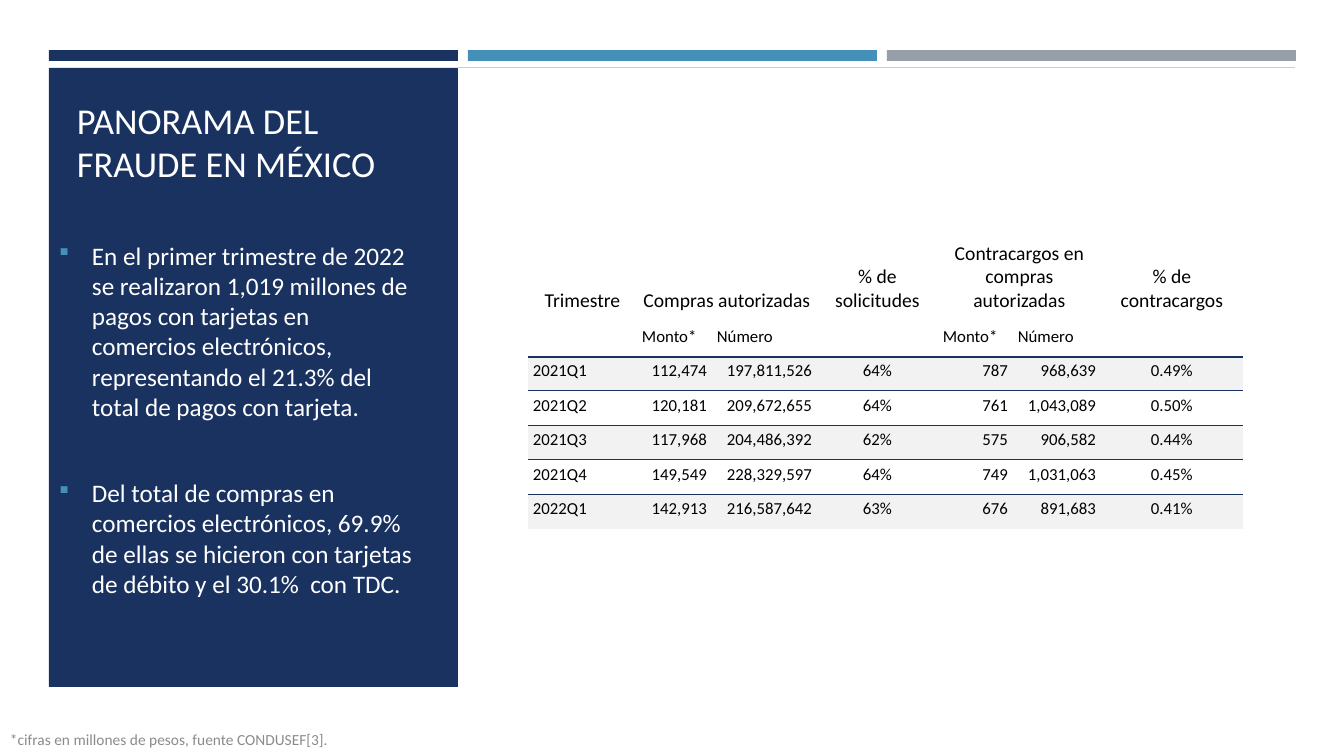
"""Build the slide on the state of card fraud in Mexico."""
import pptx
import pptx.dml.color
import pptx.enum.shapes
import pptx.enum.text
import pptx.oxml
import pptx.oxml.ns
import pptx.util
import lxml.etree

RGBColor = pptx.dml.color.RGBColor
NAVY = RGBColor(0x1A, 0x32, 0x60)
BLUE = RGBColor(0x45, 0x90, 0xB8)
GREY = RGBColor(0x96, 0x9F, 0xA7)
HAIRLINE = RGBColor(0xC8, 0xCC, 0xD4)
STRIPE = RGBColor(0xF2, 0xF2, 0xF2)
NOTE_GREY = RGBColor(0x8B, 0x8B, 0x8B)
WHITE = RGBColor(0xFF, 0xFF, 0xFF)
BLACK = RGBColor(0, 0, 0)
LEFT, CENTER, RIGHT = (
    pptx.enum.text.PP_ALIGN.LEFT,
    pptx.enum.text.PP_ALIGN.CENTER,
    pptx.enum.text.PP_ALIGN.RIGHT,
)
BOTTOM = pptx.enum.text.MSO_ANCHOR.BOTTOM
PIXEL = 914400 / 100.8
NO_STYLE = "{2D5ABB26-0587-4C30-8999-92F81FD0307C}"
qn = pptx.oxml.ns.qn


def px(*lengths):
    return [pptx.util.Emu(round(length * PIXEL)) for length in lengths]


def write(para, text, size, color):
    para.text = text
    para.font.name = "Calibri"
    para.font.size = pptx.util.Pt(size)
    para.font.color.rgb = color


deck = pptx.Presentation()
deck.slide_width, deck.slide_height = px(1344, 756)
page = deck.slides.add_slide(deck.slide_layouts[6])
shapes = page.shapes

rule = shapes.add_connector(
    pptx.enum.shapes.MSO_CONNECTOR.STRAIGHT, *px(458, 67, 1295, 67)
)
rule.line.color.rgb = HAIRLINE
rule.line.width = pptx.util.Pt(0.5)
lxml.etree.SubElement(rule.line._get_or_add_ln().getparent(), qn("a:effectLst"))

blocks = [(49 + 419 * i, 50, 409, 11, color) for i, color in enumerate((NAVY, BLUE, GREY))]
blocks.append((49, 68, 409, 619, NAVY))
for left, top, width, height, color in blocks:
    block = shapes.add_shape(
        pptx.enum.shapes.MSO_SHAPE.RECTANGLE, *px(left, top, width, height)
    )
    block.shadow.inherit = False
    block.fill.solid()
    block.fill.fore_color.rgb = color
    block.line.fill.background()

title = shapes.add_textbox(*px(67, 78, 376, 112)).text_frame
title.word_wrap = True
title.vertical_anchor = BOTTOM
write(title.paragraphs[0], "PANORAMA DEL FRAUDE EN MÉXICO", 26, WHITE)

findings = [
    "En el primer trimestre de 2022 se realizaron 1,019 millones de pagos con "
    "tarjetas en comercios electrónicos, representando el 21.3% del total de "
    "pagos con tarjeta.",
    "Del total de compras en comercios electrónicos, 69.9% de ellas se hicieron "
    "con tarjetas de débito y el 30.1%  con TDC.",
]
body = shapes.add_textbox(*px(49, 240, 376, 370)).text_frame
body.word_wrap = True
body.margin_top = 0
for i, finding in enumerate(findings):
    para = body.add_paragraph() if i else body.paragraphs[0]
    write(para, finding, 18, WHITE)
    para.space_before = pptx.util.Pt(40 * i)
    properties = para._p.get_or_add_pPr()
    indent = px(33)[0]
    properties.set("marL", str(indent))
    properties.set("indent", str(-indent))
    bullet = pptx.oxml.parse_xml(
        f'<a:bullet {pptx.oxml.ns.nsdecls("a")}>'
        f'<a:buClr><a:srgbClr val="{BLUE}"/></a:buClr><a:buSzPct val="92000"/>'
        '<a:buFont typeface="Wingdings" charset="2"/><a:buChar char="§"/></a:bullet>'
    )
    defaults = properties.find(qn("a:defRPr"))
    for part in list(bullet):
        defaults.addprevious(part)

note = shapes.add_textbox(*px(0, 725, 546, 29)).text_frame
note.word_wrap = True
write(note.paragraphs[0], "*cifras en millones de pesos, fuente CONDUSEF[3].", 11, NOTE_GREY)

rows = [
    ("Trimestre", "Compras autorizadas", "", "% de solicitudes",
     "Contracargos en compras autorizadas", "", "% de contracargos"),
    ("", "Monto*", "Número", "", "Monto*", "Número", ""),
    ("2021Q1", "112,474", "197,811,526", "64%", "787", "968,639", "0.49%"),
    ("2021Q2", "120,181", "209,672,655", "64%", "761", "1,043,089", "0.50%"),
    ("2021Q3", "117,968", "204,486,392", "62%", "575", "906,582", "0.44%"),
    ("2021Q4", "149,549", "228,329,597", "64%", "749", "1,031,063", "0.45%"),
    ("2022Q1", "142,913", "216,587,642", "63%", "676", "891,683", "0.41%"),
]
column_widths = (109, 75, 105, 121, 75, 88, 142)
row_heights = (94, 34, 34, 35, 34, 35, 34)
data_aligns = (LEFT, RIGHT, RIGHT, CENTER, RIGHT, RIGHT, CENTER)
frame = shapes.add_table(
    len(rows), len(column_widths), *px(528, 229, sum(column_widths), sum(row_heights))
)
table = frame.table
table.first_row = table.horz_banding = False
table._tbl.tblPr.find(qn("a:tableStyleId")).text = NO_STYLE
for column, width in zip(table.columns, px(*column_widths)):
    column.width = width
for row, height in zip(table.rows, px(*row_heights)):
    row.height = height
for first in (1, 4):
    table.cell(0, first).merge(table.cell(0, first + 1))

for r, texts in enumerate(rows):
    striped = r >= 2 and r % 2 == 0
    for c, text in enumerate(texts):
        cell = table.cell(r, c)
        cell.vertical_anchor = BOTTOM
        cell.margin_left, cell.margin_right, cell.margin_top, cell.margin_bottom = px(
            5, 5, 1, 10 if text else 1
        )
        para = cell.text_frame.paragraphs[0]
        write(para, text, 12 if r else 14, BLACK)
        para.alignment = (CENTER, LEFT)[r] if r < 2 else data_aligns[c]
        if not striped:
            cell.fill.background()
            continue
        cell.fill.solid()
        cell.fill.fore_color.rgb = STRIPE
        border = pptx.oxml.parse_xml(
            f'<a:lnT {pptx.oxml.ns.nsdecls("a")} w="12700"><a:solidFill>'
            f'<a:srgbClr val="{NAVY}"/></a:solidFill></a:lnT>'
        )
        cell._tc.tcPr.insert(0, border)

deck.save("out.pptx")
